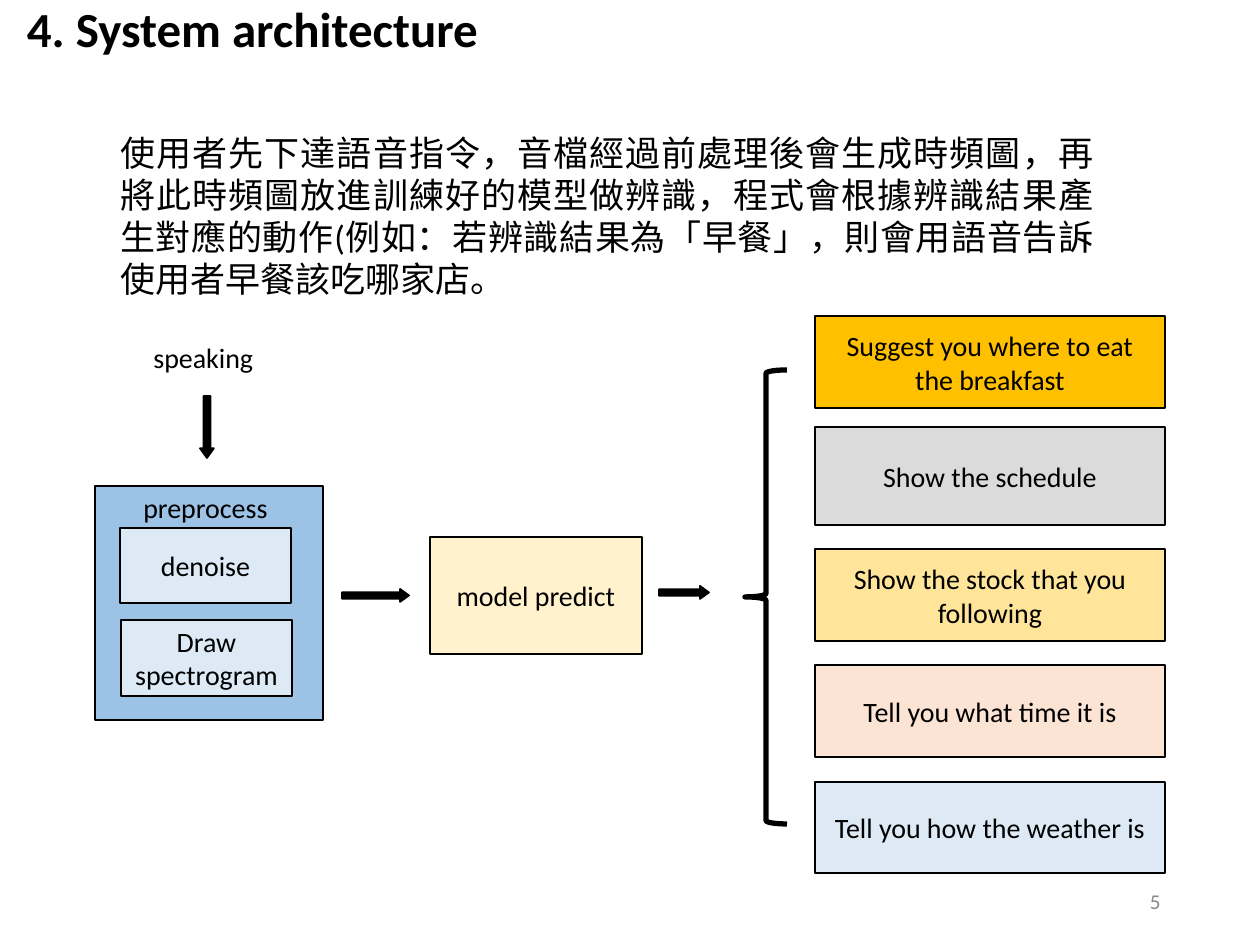
from pptx import Presentation
from pptx.dml.color import RGBColor
from pptx.enum.shapes import MSO_SHAPE
from pptx.enum.text import MSO_ANCHOR, PP_ALIGN
from pptx.util import Emu, Pt

# Content
TITLE = "4. System architecture"
BODY = ("使用者先下達語音指令，音檔經過前處理後會生成時頻圖，再將此時頻圖放進訓練好的模型"
        "做辨識，程式會根據辨識結果產生對應的動作(例如：若辨識結果為「早餐」，則會用語音告訴"
        "使用者早餐該吃哪家店。")
PAGE = "5"
STEPS = [  # text, fill, left, top, width, height
    ("", "blue", 95, 486, 228, 234),
    ("denoise", "pale", 120, 528, 171, 75),
    ("Draw spectrogram", "pale", 121, 620, 171, 76),
    ("model predict", "cream", 430, 537, 212, 117),
]
ACTIONS = [  # text, fill, top, height
    ("Suggest you where to eat the breakfast", "gold", 316, 92),
    ("Show the schedule", "gray", 427, 98),
    ("Show the stock that you following", "sand", 549, 92),
    ("Tell you what time it is", "peach", 665, 92),
    ("Tell you how the weather is", "pale", 782, 91),
]
LABELS = [("speaking", 141, 334, 134, 49), ("preprocess", 131, 484, 161, 49)]
ARROWS = [
    (MSO_SHAPE.DOWN_ARROW, 200, 396, 14, 62),
    (MSO_SHAPE.RIGHT_ARROW, 342, 589, 67, 13),
    (MSO_SHAPE.RIGHT_ARROW, 659, 586, 50, 13),
]
BRACE = (745, 370, 42, 454)

THEME = {
    "font": "Calibri",
    "size": {"title": 28, "body": 20, "label": 16, "page": 12},
    "color": {"ink": "000000", "mute": "888888", "blue": "9CC2E5",
              "pale": "DDEAF6", "cream": "FFF2CC", "gold": "FFC000",
              "gray": "DBDBDB", "sand": "FEE599", "peach": "FBE4D4"},
}


def px(n):
    return Emu(round(n * 914400 / 126))


def color(name):
    return RGBColor.from_string(THEME["color"][name])


def write(shape, text, role="label", align=PP_ALIGN.LEFT,
          anchor=MSO_ANCHOR.MIDDLE, ink="ink", bold=False):
    frame = shape.text_frame
    frame.word_wrap = True
    frame.vertical_anchor = anchor
    para = frame.paragraphs[0]
    para.text = text
    para.alignment = align
    font = para.font
    font.name = THEME["font"]
    font.size = Pt(THEME["size"][role])
    font.bold = bold
    font.color.rgb = color(ink)
    return frame


def draw(kind, area, fill=None, line=1):
    shape = slide.shapes.add_shape(kind, *map(px, area))
    shape.shadow.inherit = False
    if fill:
        shape.fill.solid()
        shape.fill.fore_color.rgb = color(fill)
    else:
        shape.fill.background()
    shape.line.color.rgb = color("ink")
    shape.line.width = Pt(line)
    return shape


def label(text, area, **style):
    return write(slide.shapes.add_textbox(*map(px, area)), text, **style)


deck = Presentation()
deck.slide_width, deck.slide_height = px(1260), px(945)
slide = deck.slides.add_slide(deck.slide_layouts[6])

# Boxes: processing steps, then the column of actions
column = [(text, fill, 815, top, 350, height)
          for text, fill, top, height in ACTIONS]
for text, fill, *area in STEPS + column:
    box = draw(MSO_SHAPE.RECTANGLE, area, fill)
    if text:
        write(box, text, align=PP_ALIGN.CENTER)

# Arrows and brace
for kind, *area in ARROWS:
    arrow = draw(kind, area, "ink")
    arrow.adjustments[0] = 0.5
    arrow.adjustments[1] = 0.69
draw(MSO_SHAPE.LEFT_BRACE, BRACE, line=3).adjustments[0] = 0.08

# Text
for text, *area in LABELS:
    label(text, area, anchor=MSO_ANCHOR.TOP)
label(BODY, (108, 125, 998, 183), role="body", align=PP_ALIGN.JUSTIFY,
      anchor=MSO_ANCHOR.TOP)
label(PAGE, (890, 876, 283, 50), role="page", align=PP_ALIGN.RIGHT, ink="mute")
head = label(TITLE, (0, 0, 1260, 64), role="title", bold=True)
head.margin_left = px(27)
head.paragraphs[0].line_spacing = 0.9

deck.save("out.pptx")
